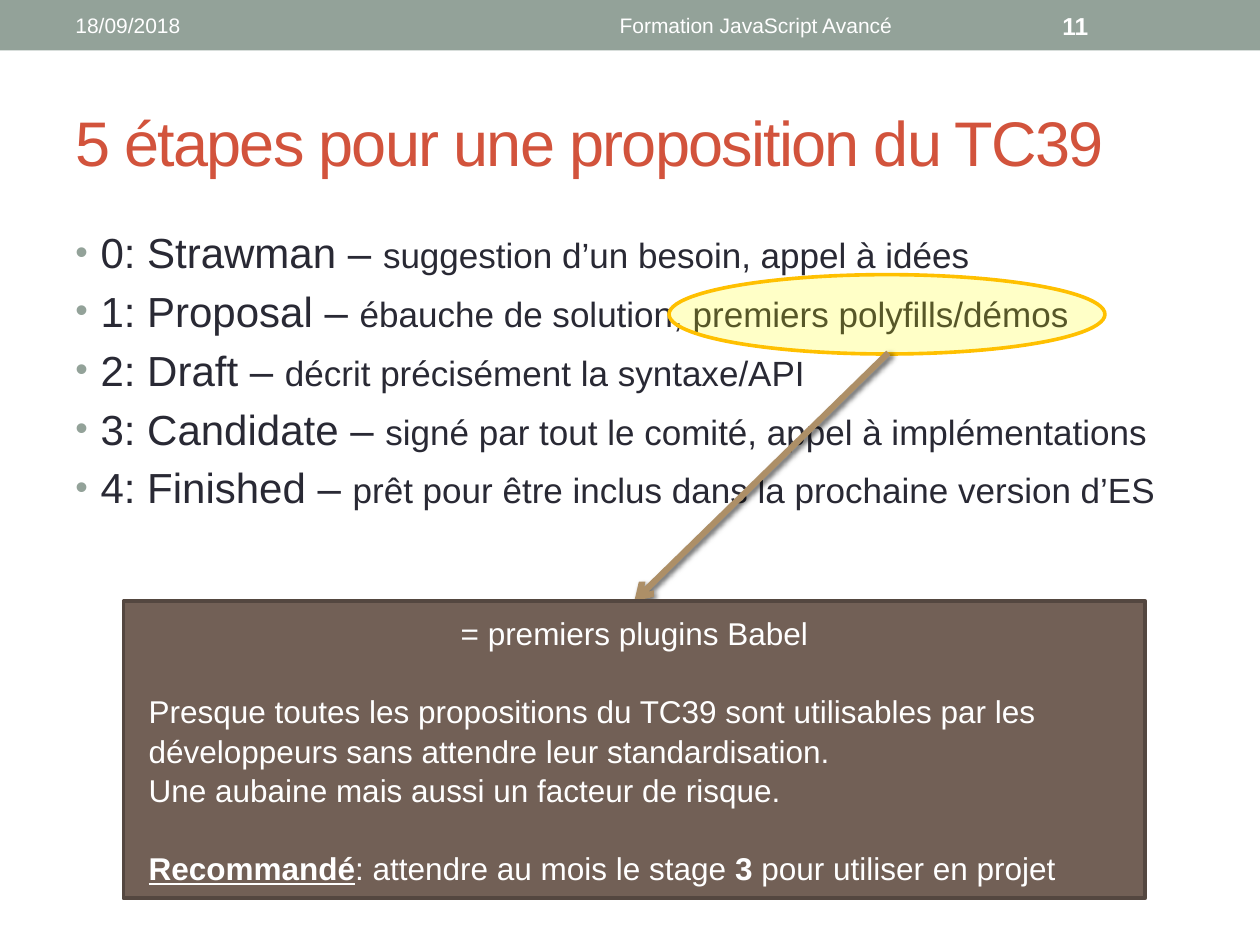
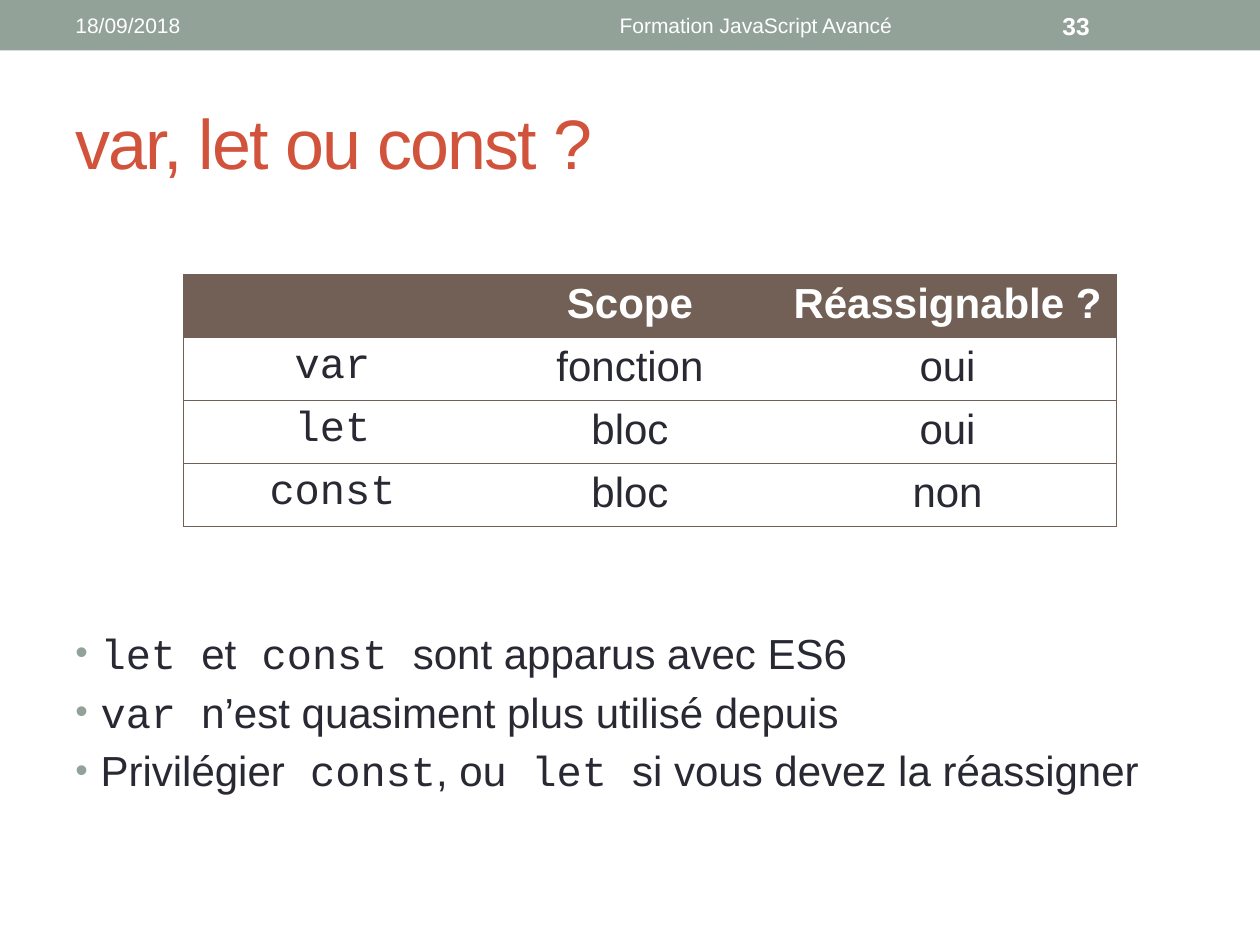
from lxml.etree import SubElement
from pptx import Presentation
from pptx.dml.color import RGBColor
from pptx.enum.shapes import MSO_CONNECTOR, MSO_SHAPE
from pptx.enum.text import MSO_ANCHOR, PP_ALIGN
from pptx.oxml.ns import qn
from pptx.util import Pt

SAGE, RED, INK, WHITE = "93A299", "D2533C", "292934", "FFFFFF"
BROWN, EDGE, TAN, GOLD, YELLOW = "726056", "544740", "AD8F67", "FFC000", "FFFF00"
SANS, MONO = "Arial", "Courier New"
DATE, COURSE = "18/09/2018", "Formation JavaScript Avancé"


def tint(code):
    """Turn a hex string into a colour."""
    return RGBColor.from_string(code)


def node(parent, tag, **attrs):
    """Append a drawing element with the given attributes."""
    return SubElement(parent, qn("a:" + tag), {k: str(v) for k, v in attrs.items()})


def style(run, size, hue, face=SANS, bold=False, under=False):
    """Format one run."""
    font = run.font
    font.size, font.name, font.bold = Pt(size), face, bold
    font.color.rgb = tint(hue)
    if under:
        font.underline = True


def fill_par(par, parts, size, hue):
    """Write (text, options) parts into a paragraph."""
    for text, opts in parts:
        run = par.add_run()
        run.text = text
        style(run, **{"size": size, "hue": hue, **opts})


def label(slide, box, text, size, hue, align=PP_ALIGN.LEFT, bold=False):
    """Add a single middle-anchored line of text."""
    frame = slide.shapes.add_textbox(*map(Pt, box)).text_frame
    frame.word_wrap = True
    frame.vertical_anchor = MSO_ANCHOR.MIDDLE
    frame.text = text
    par = frame.paragraphs[0]
    par.alignment = align
    style(par.runs[0], size, hue, bold=bold)
    return par.runs[0]


def shape(slide, kind, box, fill, line=None):
    """Add a flat preset shape."""
    item = slide.shapes.add_shape(kind, *map(Pt, box))
    item.shadow.inherit = False
    item.fill.solid()
    item.fill.fore_color.rgb = tint(fill)
    if line:
        item.line.color.rgb = tint(line)
        item.line.width = Pt(2.08)
    else:
        item.line.fill.background()
    return item


def base(deck, number, title, size):
    """Add a slide with its band, footers and title."""
    slide = deck.slides.add_slide(deck.slide_layouts[6])
    shape(slide, MSO_SHAPE.RECTANGLE, (0, 0, 720, 28.8), SAGE)
    label(slide, (36, 1.44, 228, 26), DATE, 12, WHITE)
    label(slide, (270, 1.44, 324, 26), COURSE, 12, WHITE, PP_ALIGN.CENTER)
    label(slide, (600, 1.44, 84, 26), number, 14, WHITE, bold=True)
    run = label(slide, (36, 42, 648, 77.76), title, size, RED)
    run.font._element.set("spc", "-100")
    return slide


def bullets(slide, box, items):
    """Add a bulleted list in the given box."""
    frame = slide.shapes.add_textbox(*map(Pt, box)).text_frame
    frame.word_wrap = True
    for i, parts in enumerate(items):
        par = frame.add_paragraph() if i else frame.paragraphs[0]
        props = par._p.get_or_add_pPr()
        props.set("marL", str(Pt(14.4)))
        props.set("indent", str(Pt(-14.4)))
        node(node(props, "spcBef"), "spcPct", val=20000)
        node(node(props, "buClr"), "srgbClr", val=SAGE)
        node(props, "buSzPct", val=85000)
        node(props, "buFont", typeface=SANS)
        node(props, "buChar", char="•")
        fill_par(par, parts, 24, INK)


def note(slide, box, rows):
    """Add the brown box of (parts, align, gap after) rows."""
    item = shape(slide, MSO_SHAPE.RECTANGLE, box, BROWN, EDGE)
    frame = item.text_frame
    frame.word_wrap = True
    frame.margin_left = frame.margin_right = Pt(14.4)
    frame.margin_top = frame.margin_bottom = Pt(8.64)
    for i, (parts, align, gap) in enumerate(rows):
        par = frame.add_paragraph() if i else frame.paragraphs[0]
        par.alignment = align
        par.line_spacing = 1.05
        par.space_after = Pt(gap)
        fill_par(par, parts, 18, WHITE)
    return item


def halo(slide, box):
    """Add a see-through yellow ellipse."""
    item = shape(slide, MSO_SHAPE.OVAL, box, YELLOW, GOLD)
    color = item._element.spPr.find(qn("a:solidFill")).find(qn("a:srgbClr"))
    node(color, "alpha", val=22000)


def arrow(slide, start, end):
    """Add a tan arrow with a soft shadow."""
    line = slide.shapes.add_connector(
        MSO_CONNECTOR.STRAIGHT, *map(Pt, (*start, *end)))
    line.line.color.rgb = tint(TAN)
    line.line.width = Pt(3.5)
    node(line.line._get_or_add_ln(), "tailEnd", type="arrow")
    glow = node(node(line._element.spPr, "effectLst"), "outerShdw",
                blurRad=Pt(3), dist=Pt(2), dir=45 * 60000, rotWithShape=0)
    node(node(glow, "srgbClr", val="000000"), "alpha", val=60000)
    return line


def edges(cell, shown):
    """Draw the named cell borders and hide the others."""
    props = cell._tc.get_or_add_tcPr()
    for side in "LRTB":
        line = node(props, "ln" + side, w=Pt(0.75))
        if side in shown:
            node(node(line, "solidFill"), "srgbClr", val=BROWN)
        else:
            node(line, "noFill")


def grid(slide, spot, widths, high, rows):
    """Add a ruled table with a brown head and a code column."""
    table = slide.shapes.add_table(
        len(rows), len(widths), *map(Pt, (*spot, sum(widths), high * len(rows)))).table
    table.first_row = table.horz_banding = False
    for col, width in zip(table.columns, widths):
        col.width = Pt(width)
    last = len(widths) - 1
    for r, row in enumerate(rows):
        for c, text in enumerate(row):
            cell = table.cell(r, c)
            edges(cell, "TB" + "L" * (c == 0) + "R" * (c == last))
            if r:
                cell.fill.background()
            else:
                cell.fill.solid()
                cell.fill.fore_color.rgb = tint(BROWN)
            cell.text_frame.text = text
            par = cell.text_frame.paragraphs[0]
            par.alignment = PP_ALIGN.CENTER
            for run in par.runs:
                style(run, 24, INK if r else WHITE,
                      MONO if r and c == 0 else SANS, bold=r == 0)


def stages(deck):
    """Build the slide on the proposal stages."""
    slide = base(deck, "11", "5 étapes pour une proposition du TC39", 36)
    steps = [
        ("Strawman", "suggestion d’un besoin, appel à idées"),
        ("Proposal", "ébauche de solution, premiers polyfills/démos"),
        ("Draft", "décrit précisément la syntaxe/API"),
        ("Candidate", "signé par tout le comité, appel à implémentations"),
        ("Finished", "prêt pour être inclus dans la prochaine version d’ES"),
    ]
    bullets(slide, (36, 126, 648, 383.76),
            [[(f"{i}: {name} – ", {}), (text, {"size": 20})]
             for i, (name, text) in enumerate(steps)])
    halo(slide, (382.32, 156.96, 249.12, 45.36))
    line = arrow(slide, (507.6, 201.6), (362.88, 343.44))
    left, gap = PP_ALIGN.LEFT, 21.7
    item = note(slide, (70.56, 343.44, 583.92, 169.92), [
        ([("= premiers plugins Babel", {})], PP_ALIGN.CENTER, gap),
        ([("Presque toutes les propositions du TC39 sont utilisables par les "
           "développeurs sans attendre leur standardisation.", {})], left, 0),
        ([("Une aubaine mais aussi un facteur de risque.", {})], left, gap),
        ([("Recommandé", {"bold": True, "under": True}),
          (": attendre au mois le stage ", {}), ("3", {"bold": True}),
          (" pour utiliser en projet", {})], left, 0),
    ])
    line.end_connect(item, 0)


def scopes(deck):
    """Build the slide comparing var, let and const."""
    slide = base(deck, "33", "var, let ou const ?", 40)
    code = {"face": MONO}
    bullets(slide, (36, 354.96, 648, 154.8), [
        [("let ", code), ("et", {}), (" const ", code), ("sont apparus avec ES6", {})],
        [("var ", code), ("n’est quasiment plus utilisé depuis", {})],
        [("Privilégier", {}), (" const", code), (", ou", {}), (" let ", code),
         ("si vous devez la réassigner", {})],
    ])
    grid(slide, (105, 156.75), (170, 170, 193), 29.5, [
        ("", "Scope", "Réassignable ?"),
        ("var", "fonction", "oui"),
        ("let", "bloc", "oui"),
        ("const", "bloc", "non"),
    ])


def main():
    """Build and save the deck."""
    deck = Presentation()
    deck.slide_width, deck.slide_height = Pt(720), Pt(540)
    stages(deck)
    scopes(deck)
    deck.save("out.pptx")


if __name__ == "__main__":
    main()
